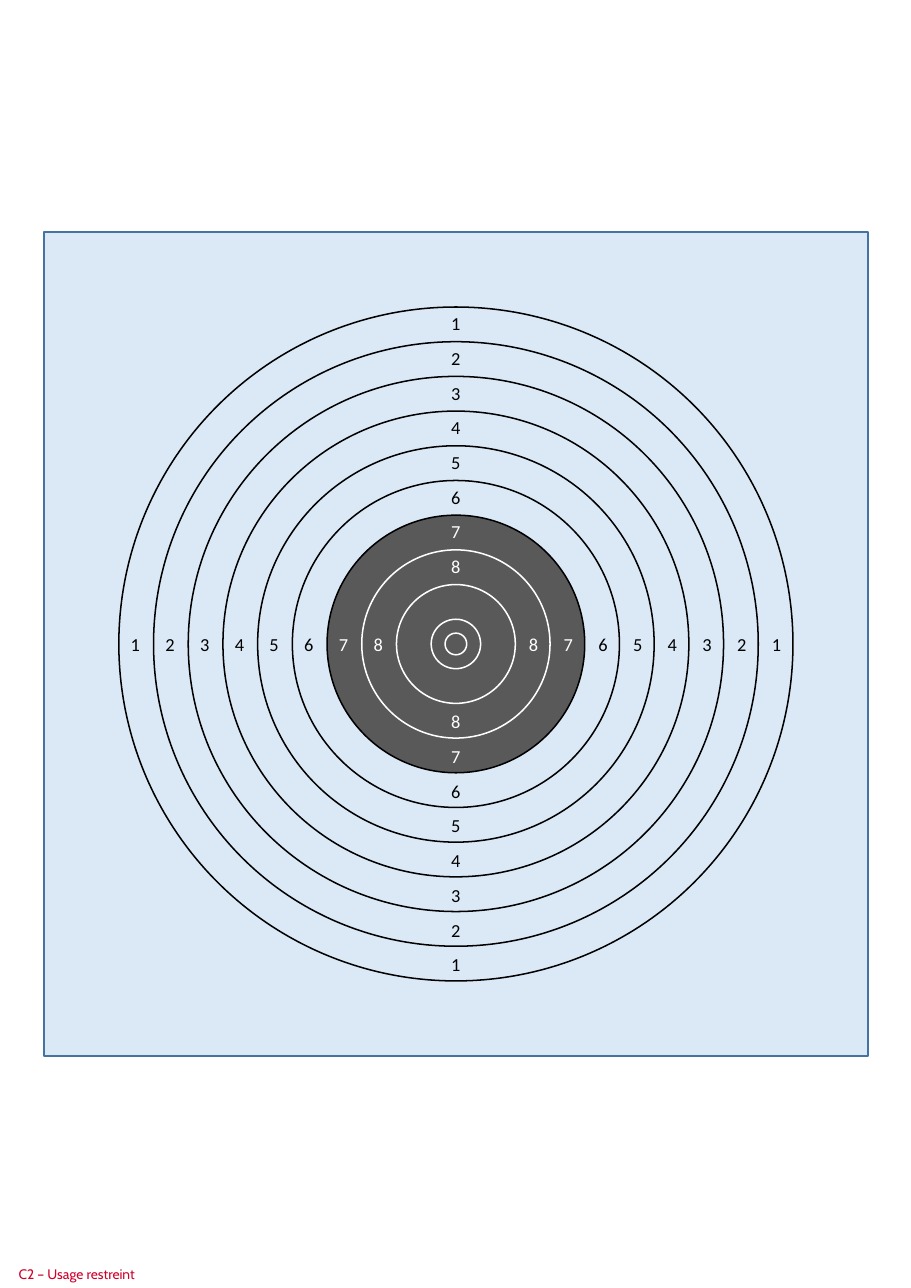
"""Draw a shooting target with numbered rings on an A4 page."""
from lxml import etree
from pptx import Presentation
from pptx.dml.color import RGBColor
from pptx.enum import shapes as s, text as t
from pptx.oxml.ns import qn
from pptx.util import Cm, Pt


def rgb(code):
    return RGBColor.from_string(code)


def write(words, left, top, width, height, font="Calibri", size=12,
          ink="000000", align=t.PP_ALIGN.CENTER, pad=(0.25, 0.13), wrap=False):
    box = page.shapes.add_textbox(Cm(left), Cm(top), Cm(width), Cm(height))
    frame = box.text_frame
    frame.word_wrap = wrap
    frame.auto_size = t.MSO_AUTO_SIZE.SHAPE_TO_FIT_TEXT
    frame.vertical_anchor = t.MSO_ANCHOR.MIDDLE
    frame.margin_left = frame.margin_right = Cm(pad[0])
    frame.margin_top = frame.margin_bottom = Cm(pad[1])
    para = frame.paragraphs[0]
    para.alignment = align
    run = para.add_run()
    run.text = words
    run.font.name = font
    run.font.size = Pt(size)
    run.font.color.rgb = rgb(ink)


deck = Presentation()
deck.slide_width, deck.slide_height = Cm(21), Cm(29.7)
page = deck.slides.add_slide(deck.slide_layouts[6])

write("C2 – Usage restreint", 0, 29.03, 3.63, 0.69, font="Cabin", size=9,
      ink="CF022B", align=t.PP_ALIGN.LEFT, pad=(0.43, 0))

mid_x, mid_y = 10.51, 14.85
step = 0.8
black, white, grey = "000000", "FFFFFF", "595959"

parts = [(s.MSO_SHAPE.RECTANGLE, 9.5, "4D93D3", "43739E")]
for ring in range(10):
    fill = grey if ring == 6 else None
    line = black if ring < 7 else white
    parts.append((s.MSO_SHAPE.OVAL, 7.77 - step * ring, fill, line))
parts.append((s.MSO_SHAPE.OVAL, 0.25, None, white))

for kind, half, fill, line in parts:
    form = page.shapes.add_shape(kind, Cm(mid_x - half), Cm(mid_y - half),
                                 Cm(2 * half), Cm(2 * half))
    form.shadow.inherit = False
    form.line.color.rgb = rgb(line)
    form.line.width = Pt(1)
    if fill:
        form.fill.solid()
        form.fill.fore_color.rgb = rgb(fill)
    else:
        form.fill.background()
    if kind == s.MSO_SHAPE.RECTANGLE:
        tint = form.fill._xPr.find(qn("a:solidFill"))[0]
        etree.SubElement(tint, qn("a:alpha"), val="20000")

wide, high = 0.74, 0.76
for ring in range(8):
    reach = 7.39 - step * ring
    ink = black if ring < 6 else white
    for dx, dy in ((-1, 0), (1, 0), (0, -1), (0, 1)):
        write(str(ring + 1), mid_x + dx * reach - wide / 2,
              mid_y + dy * reach - high / 2, wide, high, ink=ink)

deck.save("out.pptx")
